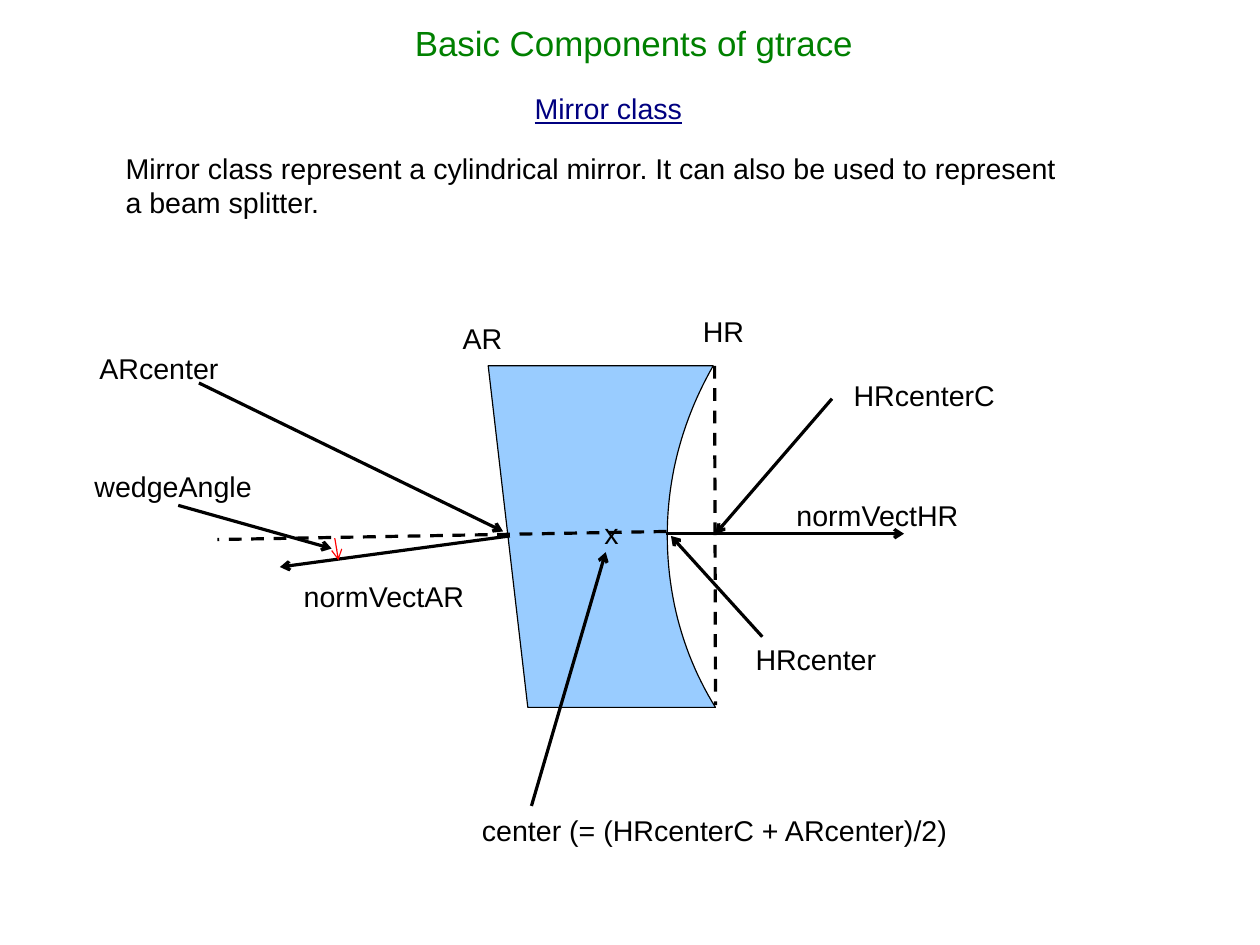
from lxml import etree
from pptx import Presentation
from pptx.dml.color import RGBColor
from pptx.enum.dml import MSO_LINE
from pptx.enum.shapes import MSO_CONNECTOR
from pptx.enum.text import MSO_AUTO_SIZE
from pptx.oxml.ns import qn
from pptx.util import Cm, Pt

STRAIGHT = MSO_CONNECTOR.STRAIGHT
DASH = MSO_LINE.DASH
GROW = MSO_AUTO_SIZE.SHAPE_TO_FIT_TEXT
COLORS = {"title": "008000", "head": "000080", "ink": "000000",
          "glass": "99CCFF", "wedge": "FF0000"}

deck = Presentation()
deck.slide_width, deck.slide_height = Cm(28), Cm(21)
slide = deck.slides.add_slide(deck.slide_layouts[6])
shapes = slide.shapes


def curve(a, b, c, d, steps=24):
    """Points on a cubic curve, without its start."""
    points = []
    for i in range(1, steps + 1):
        t = i / steps
        u = 1 - t
        points.append(tuple(
            u**3 * p + 3 * u * u * t * q + 3 * u * t * t * r + t**3 * s
            for p, q, r, s in zip(a, b, c, d)))
    return points


def style(shape, color, arrow=False):
    """Hairline in one colour, with an open arrowhead if asked."""
    shape.line.color.rgb = RGBColor.from_string(COLORS[color])
    shape.line.width = Pt(0)
    if arrow:
        line = shape.line._get_or_add_ln()
        etree.SubElement(line, qn("a:tailEnd"), type="arrow")


# Mirror body with its curved HR face
top, mid, low = (15.85, 8.13), (14.83, 11.89), (15.9, 15.72)
face = (curve(top, (15.21, 9.25), (14.83, 10.52), mid)
        + curve(mid, (14.83, 13.31), (15.21, 14.61), low))
outline = [top] + face + [(11.73, 15.72)]
pen = shapes.build_freeform(Cm(10.85), Cm(8.13))
pen.add_line_segments([(Cm(x), Cm(y)) for x, y in outline], close=True)
mirror = pen.convert_to_shape()
mirror.shadow.inherit = False
mirror.fill.solid()
mirror.fill.fore_color.rgb = RGBColor.from_string(COLORS["glass"])
style(mirror, "ink")

# Arrows, then the dashed chord and axis
lines = [
    (14.81, 11.86, 20.09, 11.86, True),
    (11.33, 11.91, 6.22, 12.6, True),
    (16.94, 14.15, 14.91, 11.91, True),
    (18.49, 8.86, 15.9, 11.86, True),
    (11.81, 17.91, 13.46, 12.27, True),
    (4.42, 8.51, 11.18, 11.81, True),
    (3.96, 11.23, 7.37, 12.19, True),
    (15.88, 8.13, 15.9, 15.67, False),
    (14.81, 11.81, 4.83, 11.99, False),
]
for x1, y1, x2, y2, arrow in lines:
    link = shapes.add_connector(STRAIGHT, Cm(x1), Cm(y1), Cm(x2), Cm(y2))
    style(link, "ink", arrow)
    if not arrow:
        link.line.dash_style = DASH
    etree.SubElement(link._element.spPr, qn("a:effectLst"))

# Wedge angle arc
pen = shapes.build_freeform(Cm(7.44), Cm(11.96))
bend = curve((7.44, 11.96), (7.47, 12.12), (7.49, 12.27), (7.52, 12.45), 6)
pen.add_line_segments([(Cm(x), Cm(y)) for x, y in bend], close=False)
arc = pen.convert_to_shape()
arc.shadow.inherit = False
arc.fill.background()
style(arc, "wedge", True)

# Headings, body and labels: left, top, width, text, size, colour
texts = [
    (8.97, 0.36, 10.34, "Basic Components of gtrace", 22, "title"),
    (11.63, 1.9, 3.81, "Mirror class", 18, "head"),
    (2.54, 3.23, 21.39, "Mirror class represent a cylindrical mirror. "
     "It can also be used to represent\na beam splitter.", 18, "ink"),
    (17.45, 10.95, 4.14, "normVectHR", 18, "ink"),
    (6.5, 12.75, 4.11, "normVectAR", 18, "ink"),
    (15.37, 6.86, 1.42, "HR", 18, "ink"),
    (10.03, 7.01, 1.4, "AR", 18, "ink"),
    (16.54, 14.15, 3.2, "HRcenter", 18, "ink"),
    (18.72, 8.28, 3.68, "HRcenterC", 18, "ink"),
    (13.18, 11.33, 0.81, "x", 18, "ink"),
    (10.46, 17.93, 10.95, "center (= (HRcenterC + ARcenter)/2)", 18, "ink"),
    (1.96, 7.67, 3.18, "ARcenter", 18, "ink"),
    (1.85, 10.29, 4.04, "wedgeAngle", 18, "ink"),
]
for x, y, wide, words, size, color in texts:
    rows = words.count("\n") + 1
    high = 0.25 + rows * size * 0.041
    box = shapes.add_textbox(Cm(x), Cm(y), Cm(wide), Cm(high))
    frame = box.text_frame
    frame.word_wrap = False
    frame.auto_size = GROW
    frame.text = words
    for para in frame.paragraphs:
        para.font.name = "Arial"
        para.font.size = Pt(size)
        para.font.color.rgb = RGBColor.from_string(COLORS[color])
        para.font.underline = color == "head"

deck.save("out.pptx")
